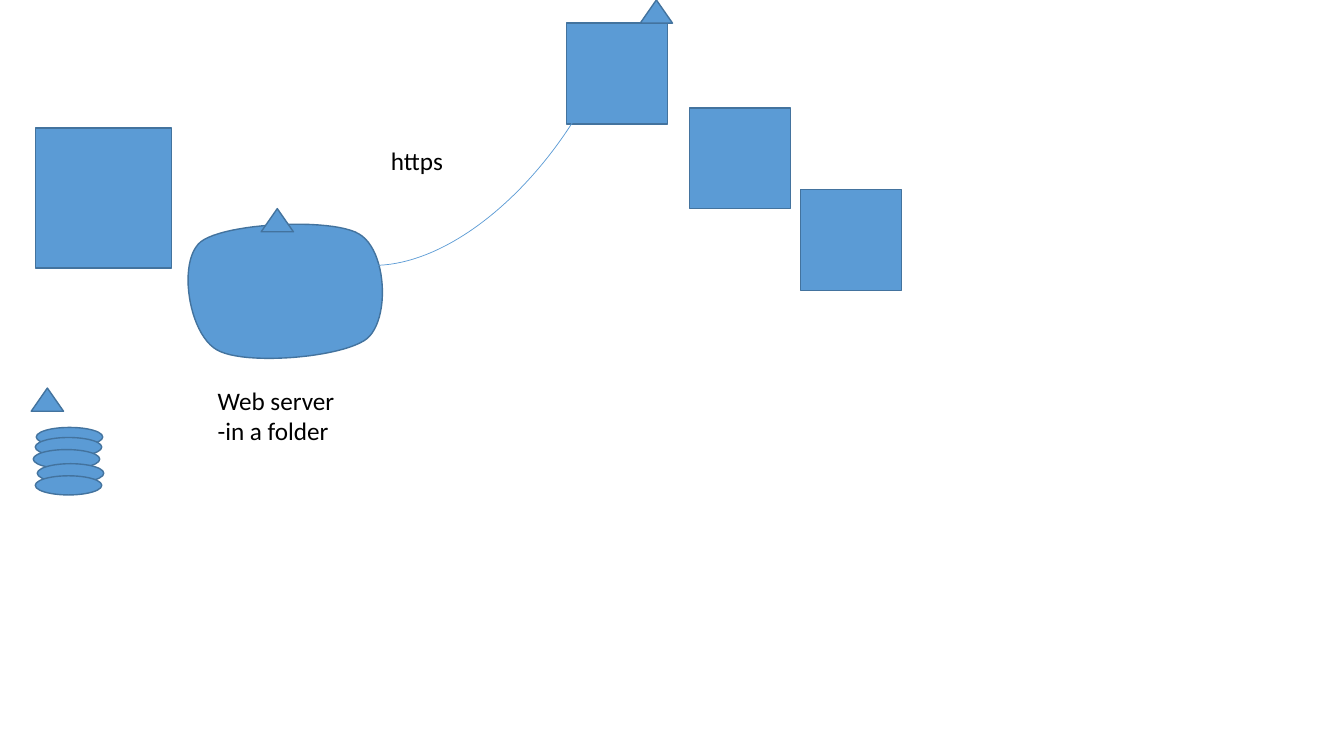
from pptx import Presentation
from pptx.dml.color import RGBColor
from pptx.enum.shapes import MSO_SHAPE
from pptx.enum.text import MSO_AUTO_SIZE
from pptx.util import Emu, Pt

PX = 9144  # one px is a hundredth of an inch
BLUE, EDGE, BLACK = "5B9BD5", "43739E", "000000"
CURVE_STEPS = 24


def px(length):
    return Emu(round(length * PX))


def color(code):
    return RGBColor.from_string(code)


def paint(shape):
    shape.shadow.inherit = False
    shape.fill.solid()
    shape.fill.fore_color.rgb = color(BLUE)
    shape.line.color.rgb = color(EDGE)
    shape.line.width = Pt(1)


def add_solid(slide, kind, left, top, width, height):
    shape = slide.shapes.add_shape(kind, px(left), px(top), px(width), px(height))
    paint(shape)


def add_marker(slide, left, top):
    add_solid(slide, MSO_SHAPE.ISOSCELES_TRIANGLE, left, top, 32, 23)


def add_label(slide, box, lines):
    label = slide.shapes.add_textbox(*map(px, box))
    frame = label.text_frame
    frame.word_wrap = False
    frame.auto_size = MSO_AUTO_SIZE.SHAPE_TO_FIT_TEXT
    for index, line in enumerate(lines):
        para = frame.add_paragraph() if index else frame.paragraphs[0]
        span = para.add_run()
        span.text = line
        span.font.name = "Calibri"
        span.font.size = Pt(18)
        span.font.color.rgb = color(BLACK)


def bezier(start, first, second, end):
    """Return points along a cubic curve, without its start."""
    points = []
    for step in range(1, CURVE_STEPS + 1):
        t = step / CURVE_STEPS
        u = 1 - t
        points.append(tuple(
            u**3 * a + 3 * u * u * t * b + 3 * u * t * t * c + t**3 * d
            for a, b, c, d in zip(start, first, second, end)))
    return points


def add_server(slide, left, top):
    start = (23, 24)
    curves = [
        ((47, 5), (153, 0), (180, 16)),
        ((208, 32), (211, 101), (188, 120)),
        ((164, 139), (66, 147), (39, 131)),
        ((11, 115), (0, 43), start),
    ]
    points = [start]
    for curve in curves:
        points += bezier(points[-1], *curve)
    placed = [(px(left + x), px(top + y)) for x, y in points]
    builder = slide.shapes.build_freeform(*placed[0])
    builder.add_line_segments(placed[1:], close=True)
    paint(builder.convert_to_shape())
    add_label(slide, (left + 30, top + 161, 137, 71), ["Web server", "-in a folder"])
    add_marker(slide, left + 83, top - 9)


def add_clients(slide, left, top):
    for x, y in [(0, 0), (122, 84), (232, 165)]:
        add_solid(slide, MSO_SHAPE.RECTANGLE, left + x, top + y, 100, 100)
    add_marker(slide, left + 73, top - 23)


def add_link(slide, left, top):
    arc = slide.shapes.add_shape(MSO_SHAPE.ARC, px(left), px(top), px(506), px(290))
    arc.rotation = 120.3
    arc.shadow.inherit = False
    arc.fill.background()
    arc.line.color.rgb = color(BLUE)
    arc.line.width = Pt(0.5)
    add_label(slide, (left + 179, top + 251, 73, 40), ["https"])


def add_storage(slide, left, top):
    """Draw a marker above a loose stack of discs."""
    for x, y in [(5, 39), (4, 49), (2, 61), (6, 75), (4, 87)]:
        add_solid(slide, MSO_SHAPE.OVAL, left + x, top + y, 66, 19)
    add_marker(slide, left, top)


def main():
    deck = Presentation()
    deck.slide_width, deck.slide_height = px(1333), px(750)
    slide = deck.slides.add_slide(deck.slide_layouts[6])
    add_server(slide, 176, 216)
    add_clients(slide, 562, 23)
    add_link(slide, 199, -112)
    add_solid(slide, MSO_SHAPE.RECTANGLE, 35, 127, 135, 139)
    add_storage(slide, 31, 385)
    deck.save("out.pptx")


if __name__ == "__main__":
    main()
